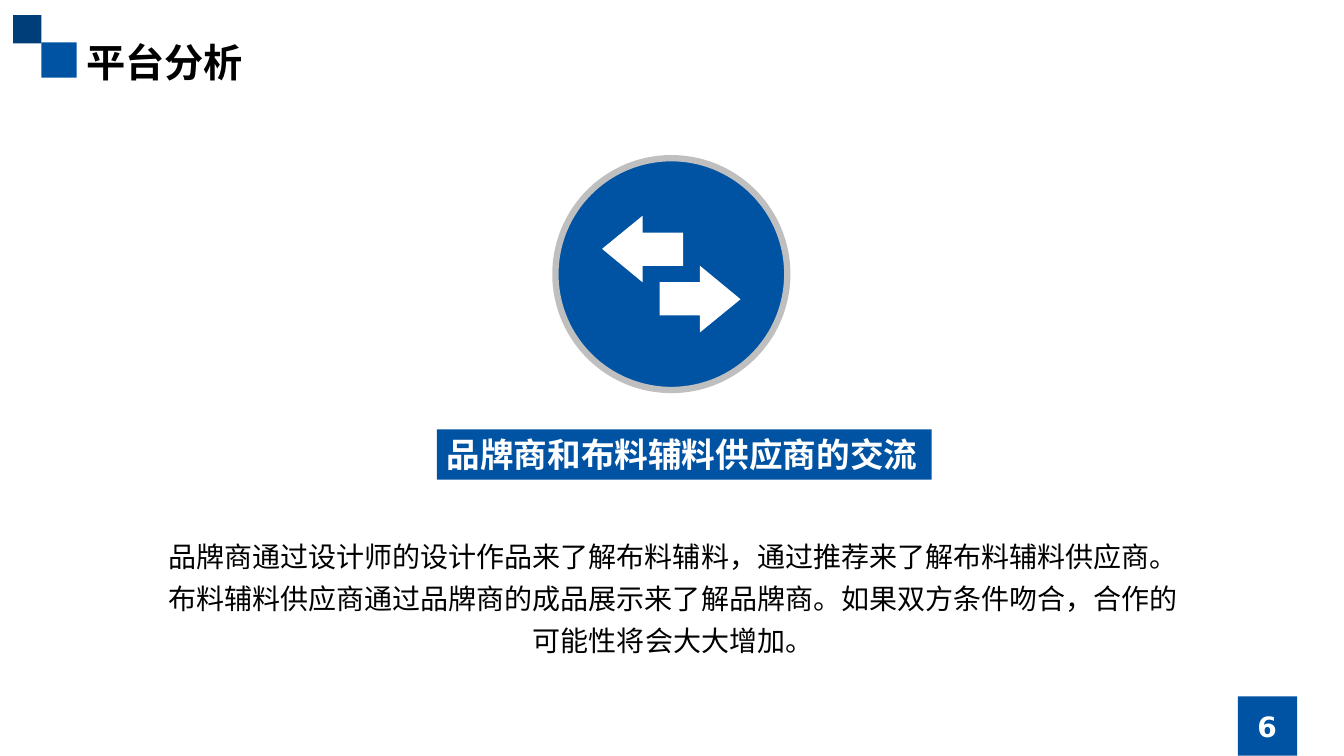
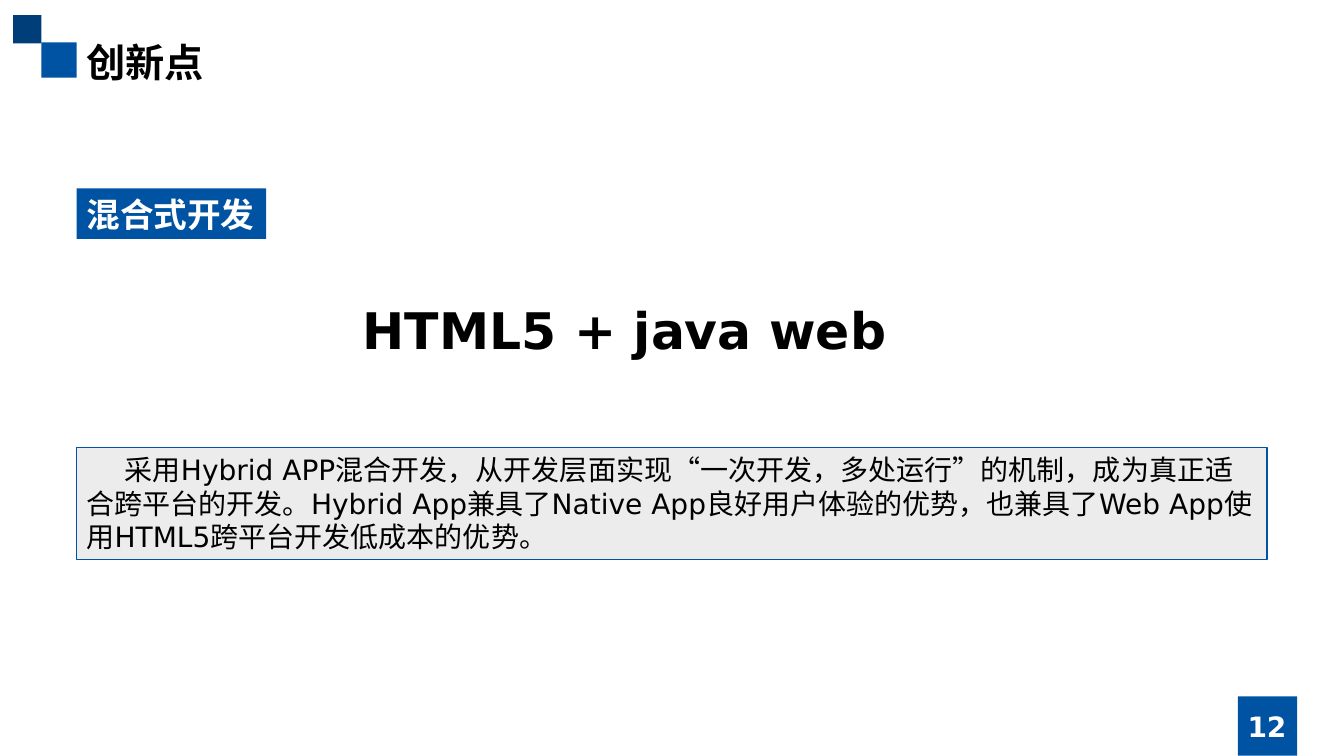
import pptx
import pptx.util
import pptx.dml.color
import pptx.enum.shapes
import pptx.enum.text

# The slide is a grid of 40 x 22.5 square cells
WIDTH = pptx.util.Inches(13.33)
HEIGHT = pptx.util.Inches(7.5)
CELL = WIDTH / 40
MARGIN = 2.28

# Shared look
BLUE, NAVY = "0053A3", "003E7A"
BLACK, WHITE = "000000", "FFFFFF"
RING_GREY, PANEL_GREY = "BFBFBF", "ECECEC"
FONT, TITLE_FONT = "DejaVu Sans", "Noto Sans CJK SC"

SHAPE = pptx.enum.shapes.MSO_SHAPE
ANCHOR = pptx.enum.text.MSO_ANCHOR
ALIGN = pptx.enum.text.PP_ALIGN


def cells(*counts):
    return [round(count * CELL) for count in counts]


def color(hex_string):
    return pptx.dml.color.RGBColor.from_string(hex_string)


def paint(shape, fill, line=None, line_width=1):
    shape.shadow.inherit = False
    shape.fill.solid()
    shape.fill.fore_color.rgb = color(fill)
    if line:
        shape.line.color.rgb = color(line)
        shape.line.width = pptx.util.Pt(line_width)
    else:
        shape.line.fill.background()


def add_block(page, place, fill, kind=SHAPE.RECTANGLE, **outline):
    block = page.shapes.add_shape(kind, *cells(*place))
    paint(block, fill, **outline)
    return block


def add_box(page, place):
    return page.shapes.add_textbox(*cells(*place))


def write(box, text, size=20, font=FONT, ink=BLACK, bold=False,
          align=ALIGN.LEFT, anchor=ANCHOR.TOP, wrap=True, spacing=None, indent=0):
    frame = box.text_frame
    frame.word_wrap = wrap
    frame.vertical_anchor = anchor
    para = frame.paragraphs[0]
    para.alignment = align
    if spacing:
        para.line_spacing = spacing
    if indent:
        properties = para._p.get_or_add_pPr()
        properties.set("marL", "0")
        properties.set("indent", str(cells(indent)[0]))
    span = para.add_run()
    span.text = text
    span.font.name = font
    span.font.size = pptx.util.Pt(size)
    span.font.bold = bold
    span.font.color.rgb = color(ink)


def add_page(deck, title, number):
    """Blank page with corner squares, title and page number."""
    page = deck.slides.add_slide(deck.slide_layouts[6])
    add_block(page, (1.23, 1.26, 1.05, 1.05), BLUE)
    add_block(page, (0.39, 0.45, 0.84, 0.84), NAVY)
    add_block(page, (36.84, 20.73, 1.77, 1.77), BLUE)
    write(add_box(page, (MARGIN, 0.93, 17.73, 1.8)), title, size=28,
          font=TITLE_FONT, bold=True, anchor=ANCHOR.MIDDLE)
    write(add_box(page, (35.43, 21.03, 4.56, 1.2)), str(number), ink=WHITE,
          bold=True, align=ALIGN.CENTER, anchor=ANCHOR.MIDDLE)
    return page


def add_band(page, place, text):
    write(add_block(page, place, BLUE), text, size=24, ink=WHITE, bold=True,
          anchor=ANCHOR.MIDDLE, wrap=False)


def add_exchange_icon(page, center_x, center_y, diameter):
    """Ringed disc with a left arrow and the same arrow turned half round."""
    place = (center_x - diameter / 2, center_y - diameter / 2, diameter, diameter)
    add_block(page, place, BLUE, SHAPE.OVAL, line=RING_GREY, line_width=4.5)
    arrow = [(0.35, -0.24), (-0.85, -0.24), (-0.85, 0.25), (-2.06, -0.75),
             (-0.85, -1.74), (-0.85, -1.23), (0.35, -1.23)]
    left, right = [[cells(center_x + turn * x, center_y + turn * y) for x, y in arrow]
                   for turn in (1, -1)]
    outline = page.shapes.build_freeform(*left[0], scale=1.0)
    outline.add_line_segments(left[1:], close=True)
    outline.move_to(*right[0])
    outline.add_line_segments(right[1:], close=True)
    paint(outline.convert_to_shape(), WHITE)


def build_platform_page(deck):
    page = add_page(deck, "平台分析", 6)
    add_band(page, (13, 12.78, 14.73, 1.5), "品牌商和布料辅料供应商的交流")
    write(add_box(page, (4.6, 15.66, 30.87, 4.08)),
          "品牌商通过设计师的设计作品来了解布料辅料，通过推荐来了解布料辅料供应商。"
          "布料辅料供应商通过品牌商的成品展示来了解品牌商。"
          "如果双方条件吻合，合作的可能性将会大大增加。",
          align=ALIGN.CENTER, anchor=ANCHOR.MIDDLE, spacing=1.25)
    add_exchange_icon(page, 19.98, 8.16, 6.9)


def build_innovation_page(deck):
    page = add_page(deck, "创新点", 12)
    panel = add_block(page, (MARGIN, 13.32, 35.43, 3.33), PANEL_GREY, line=BLUE)
    write(panel,
          "采用Hybrid APP混合开发，从开发层面实现“一次开发，多处运行”的机制，"
          "成为真正适合跨平台的开发。Hybrid App兼具了Native App良好用户体验的优势，"
          "也兼具了Web App使用HTML5跨平台开发低成本的优势。", indent=1.14)
    add_band(page, (MARGIN, 5.61, 5.64, 1.5), "混合式开发")
    write(add_box(page, (10.5, 8.76, 16.8, 2.13)), "HTML5 + java web",
          size=36, bold=True)


def main():
    deck = pptx.Presentation()
    deck.slide_width, deck.slide_height = WIDTH, HEIGHT
    build_platform_page(deck)
    build_innovation_page(deck)
    deck.save("out.pptx")


if __name__ == "__main__":
    main()
